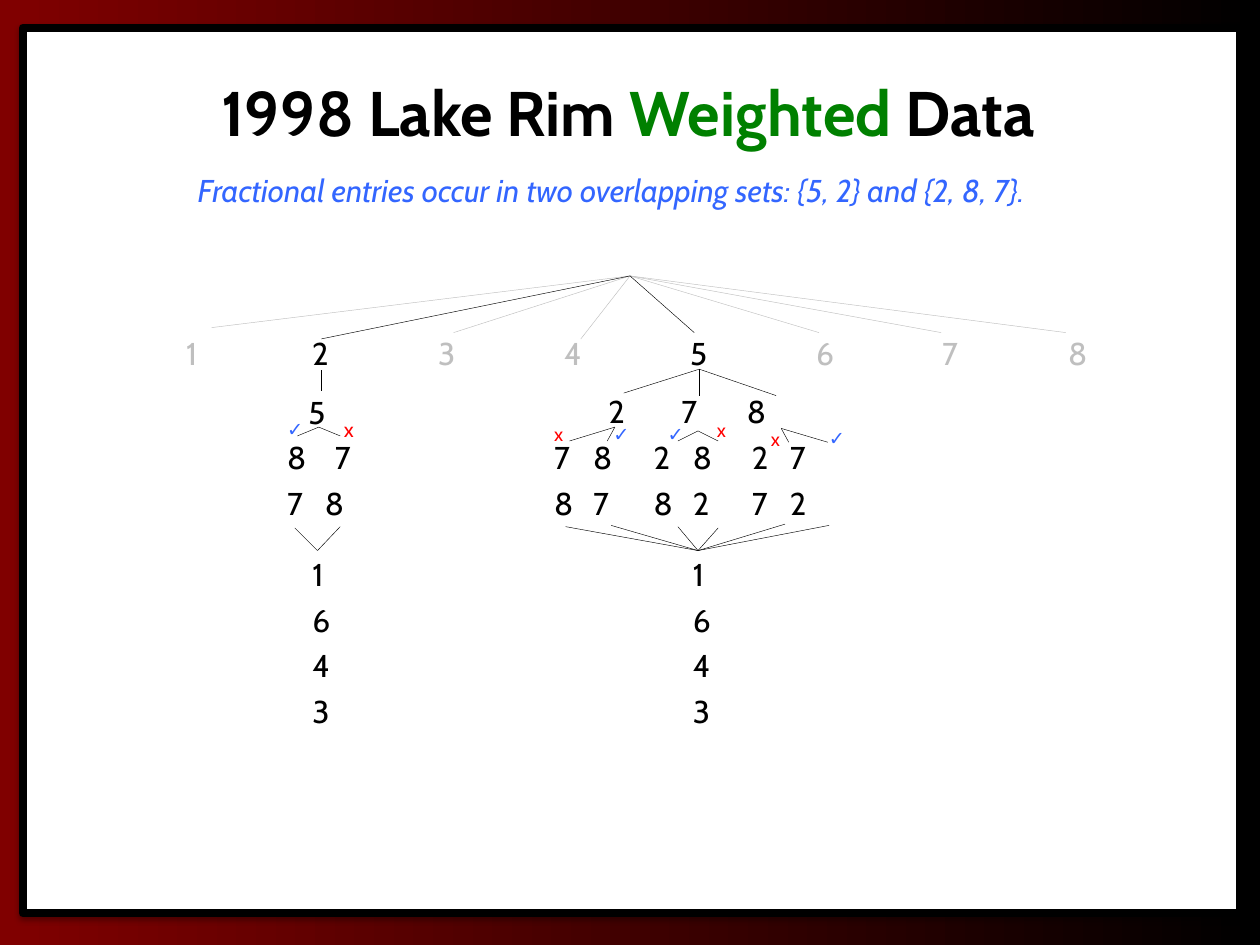
from dataclasses import dataclass
from typing import NamedTuple

from lxml.etree import SubElement
from pptx import Presentation
from pptx.dml.color import RGBColor as RGB
from pptx.enum.shapes import MSO_CONNECTOR as Conn, MSO_SHAPE as Shape
from pptx.enum.text import MSO_ANCHOR as Anchor, PP_ALIGN as Align
from pptx.oxml.ns import qn
from pptx.util import Inches, Pt


@dataclass(frozen=True)
class Theme:
    ink: str = "000000"
    paper: str = "FFFFFF"
    maroon: str = "800000"
    green: str = "008000"
    blue: str = "3366FF"
    red: str = "FF0000"
    gray: str = "BFBFBF"
    font: str = "Cabin"
    tick: str = "Arial"
    title: int = 36
    body: int = 18
    mark: int = 11
    hair: float = 0.25
    frame: float = 4.5


T = Theme()


class Run(NamedTuple):
    text: str
    color: str = T.ink
    size: int = T.body
    font: str = T.font
    bold: bool = False
    italic: bool = False


class Para(NamedTuple):
    runs: list[Run]
    space: float = 1.0
    tabs: tuple[float, ...] = ()
    indent: float = 0


class Box(NamedTuple):
    left: float
    top: float
    width: float
    height: float


class Fan(NamedTuple):
    hub: tuple[float, float]
    tips: list[tuple[float, float]]
    color: str = T.ink


class Mark(NamedTuple):
    left: float
    top: float
    good: bool
    size: int = T.mark


def add_text(slide, box: Box, paras: list[Para], center: bool = False) -> None:
    frame = slide.shapes.add_textbox(*map(Inches, box)).text_frame
    frame.word_wrap = True
    frame.vertical_anchor = Anchor.MIDDLE if center else Anchor.TOP
    for i, item in enumerate(paras):
        para = frame.paragraphs[0] if i == 0 else frame.add_paragraph()
        para.alignment = Align.CENTER if center else Align.LEFT
        para.line_spacing = item.space
        props = para._p.get_or_add_pPr()
        if item.indent:
            props.set("marL", str(Inches(item.indent)))
        if item.tabs:
            stops = SubElement(props, qn("a:tabLst"))
            for stop in item.tabs:
                SubElement(stops, qn("a:tab"), pos=str(Inches(stop)), algn="l")
        for part in item.runs:
            run = para.add_run()
            run.text = part.text
            font = run.font
            font.name, font.size = part.font, Pt(part.size)
            font.bold, font.italic = part.bold, part.italic
            font.color.rgb = RGB.from_string(part.color)


def add_fan(slide, fan: Fan) -> None:
    for tip in fan.tips:
        line = slide.shapes.add_connector(
            Conn.STRAIGHT, *map(Inches, (*fan.hub, *tip)))
        line.line.width = Pt(T.hair)
        line.line.color.rgb = RGB.from_string(fan.color)
        SubElement(line._element.spPr, qn("a:effectLst"))


def add_mark(slide, mark: Mark) -> None:
    run = (Run("✓", T.blue, mark.size, T.tick) if mark.good
           else Run("x", T.red, mark.size))
    add_text(slide, Box(mark.left, mark.top, 0.59, 0.29), [Para([run])])


def add_frame(slide) -> None:
    fill = slide.background.fill
    fill.gradient()
    fill.gradient_angle = 0
    for stop, color, pos in zip(fill.gradient_stops, (T.maroon, T.ink), (0, 1)):
        stop.color.rgb = RGB.from_string(color)
        stop.position = pos
    page = slide.shapes.add_shape(
        Shape.RECTANGLE, *map(Inches, (0.18, 0.22, 9.66, 7.03)))
    page.fill.solid()
    page.fill.fore_color.rgb = RGB.from_string(T.paper)
    page.line.color.rgb = RGB.from_string(T.ink)
    page.line.width = Pt(T.frame)
    # Soft shadow below the page
    page.shadow.inherit = False
    glow = SubElement(page._element.spPr.find(qn("a:effectLst")),
                      qn("a:outerShdw"), blurRad=str(Pt(3.1)),
                      dist=str(Pt(1.8)), dir="5400000", rotWithShape="0")
    tone = SubElement(glow, qn("a:srgbClr"), val=T.ink)
    SubElement(tone, qn("a:alpha"), val="35000")


def row(text: str, tabs: tuple[float, ...] = (), space: float = 1.2,
        indent: float = 0) -> Para:
    return Para([Run("\t".join(text.split()))], space, tabs, indent)


ROOT = (5, 2.19)
SIX = (0.31, 0.79, 1.1, 1.57, 1.87)

FANS = [
    # Root to first choices
    Fan(ROOT, [(1.68, 2.6), (3.6, 2.64), (4.61, 2.69), (6.5, 2.64),
               (7.47, 2.64), (8.46, 2.64)], T.gray),
    Fan(ROOT, [(2.55, 2.69), (5.51, 2.64)]),
    # Left branch
    Fan((2.55, 2.94), [(2.55, 3.1)]),
    Fan((2.53, 3.39), [(2.36, 3.46), (2.7, 3.46)]),
    Fan((2.52, 4.37), [(2.34, 4.19), (2.7, 4.18)]),
    # Right branch
    Fan((5.55, 2.93), [(4.95, 3.12), (5.55, 3.14), (6.16, 3.14)]),
    Fan((4.88, 3.39), [(4.52, 3.5), (4.82, 3.5)]),
    Fan((5.54, 3.42), [(5.38, 3.5), (5.7, 3.5)]),
    Fan((6.2, 3.4), [(6.26, 3.51), (6.57, 3.51)]),
    Fan((5.54, 4.37), [(4.49, 4.18), (4.85, 4.17), (5.38, 4.18),
                       (5.7, 4.19), (6.23, 4.16), (6.58, 4.17)]),
]

MARKS = [
    Mark(2.18, 3.26, True), Mark(2.63, 3.26, False, 12),
    Mark(4.3, 3.3, False), Mark(4.77, 3.3, True),
    Mark(5.2, 3.3, True), Mark(5.59, 3.27, False),
    Mark(6.02, 3.34, False), Mark(6.48, 3.33, True),
]


def main() -> None:
    deck = Presentation()
    deck.slide_width, deck.slide_height = Inches(10), Inches(7.5)
    slide = deck.slides.add_slide(deck.slide_layouts[6])
    add_frame(slide)

    # Headings
    words = (("1998 Lake Rim ", T.ink), ("Weighted ", T.green), ("Data", T.ink))
    add_text(slide, Box(0.25, 0.26, 9.47, 1.25),
             [Para([Run(text, color, T.title, bold=True)
                    for text, color in words])], center=True)
    add_text(slide, Box(1.47, 1.31, 7.27, 0.4), [Para([Run(
        "Fractional entries occur in two overlapping sets: "
        "{5, 2} and {2, 8, 7}.", T.blue, italic=True)])])

    # First choices, one inch apart
    picks = [Run(str(n) + "\t" * (n < 8), T.ink if n in (2, 5) else T.gray)
             for n in range(1, 9)]
    add_text(slide, Box(1.38, 2.6, 7.6, 0.4),
             [Para(picks, tabs=tuple(range(1, 8)))])

    # Lower choices
    add_text(slide, Box(2.18, 2.77, 0.96, 1.42),
             [row("5", space=2, indent=0.17), row("8 7", (0.38,)),
              row("7 8", (0.3,))])
    add_text(slide, Box(4.73, 3, 1.79, 0.45), [row("2 7 8", (0.58, 1.1))])
    add_text(slide, Box(4.3, 3.37, 2.64, 0.82),
             [row("7 8 2 8 2 7", SIX), row("8 7 8 2 7 2", SIX)])
    for left in (2.38, 5.4):
        add_text(slide, Box(left, 4.3, 0.59, 1.54), [row(n) for n in "1643"])

    for fan in FANS:
        add_fan(slide, fan)
    for mark in MARKS:
        add_mark(slide, mark)
    deck.save("out.pptx")


if __name__ == "__main__":
    main()
